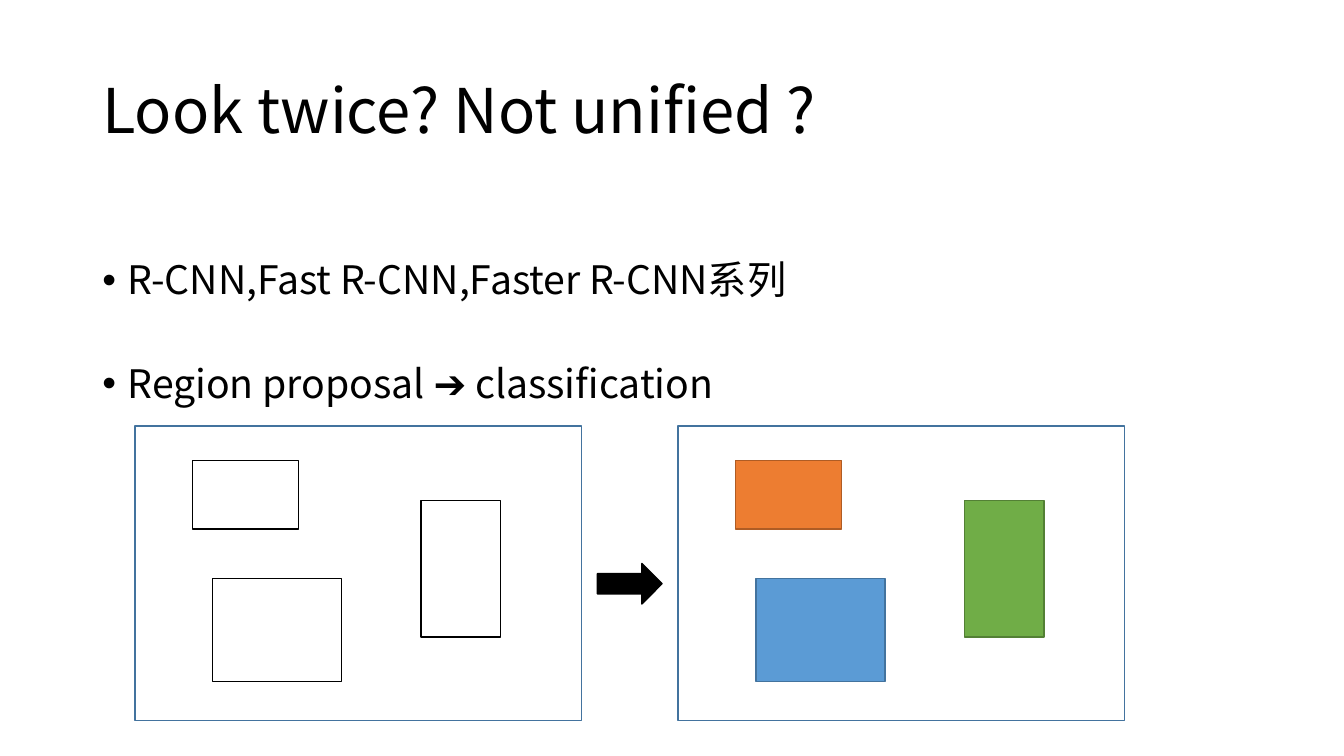
from dataclasses import dataclass

from lxml import etree
from pptx import Presentation
from pptx import util as u
from pptx.dml.color import RGBColor
from pptx.enum import shapes, text
from pptx.oxml.ns import qn


@dataclass(frozen=True)
class Theme:
    font: str = "Noto Sans CJK SC"
    ink: str = "000000"
    frame: str = "43739E"
    orange: tuple = ("ED7D31", "AF5C24")
    green: tuple = ("70AD47", "538035")
    blue: tuple = ("5B9BD5", "43739E")
    title: int = 44
    body: int = 28
    line: int = 1


THEME = Theme()
PANEL = (11.25, 7.42)
# Regions inside a panel: left, top, width, height in cm
REGIONS = [
    (1.45, 0.86, 2.67, 1.73),
    (7.21, 1.88, 2.01, 3.43),
    (1.96, 3.84, 3.25, 2.59),
]
BULLETS = ["R-CNN,Fast R-CNN,Faster R-CNN系列", "Region proposal ➔ classification"]


def assign(item, values):
    for name, value in values.items():
        setattr(item, name, value)


def shape(slide, kind, box, fill, line):
    part = slide.shapes.add_shape(kind, *map(u.Cm, box))
    part.shadow.inherit = False
    if fill:
        part.fill.solid()
        part.fill.fore_color.rgb = RGBColor.from_string(fill)
    else:
        part.fill.background()
    part.line.color.rgb = RGBColor.from_string(line)
    part.line.width = u.Pt(THEME.line)


def frame(slide, box, **values):
    area = slide.shapes.add_textbox(*map(u.Cm, box)).text_frame
    assign(area, {"word_wrap": True, **values})
    return area


def write(para, words, size):
    para.line_spacing = 0.9
    run = para.add_run()
    run.text = words
    assign(run.font, {"name": THEME.font, "size": u.Pt(size)})
    run.font.color.rgb = RGBColor.from_string(THEME.ink)
    east = etree.SubElement(run.font._element, qn("a:ea"))
    east.set("typeface", THEME.font)


def title(slide, box):
    area = frame(slide, box, vertical_anchor=text.MSO_ANCHOR.MIDDLE)
    write(area.paragraphs[0], "Look twice? Not unified ?", THEME.title)


def bullets(slide, box):
    area = frame(slide, box, margin_top=u.Cm(1.5))
    for i, words in enumerate(BULLETS):
        para = area.add_paragraph() if i else area.paragraphs[0]
        write(para, words, THEME.body)
        para.space_before = u.Pt(43.5 if i else 0)
        props = para._p.get_or_add_pPr()
        indent = u.Cm(0.64)
        props.set("marL", str(indent))
        props.set("indent", str(-indent))
        etree.SubElement(props, qn("a:buFont")).set("typeface", "Arial")
        etree.SubElement(props, qn("a:buChar")).set("char", "•")


def panel(slide, box, paints):
    """Draw a framed image with its regions, each painted (fill, line)."""
    rect = shapes.MSO_SHAPE.RECTANGLE
    left, top = box[:2]
    shape(slide, rect, box, None, THEME.frame)
    for (x, y, wide, high), paint in zip(REGIONS, paints):
        shape(slide, rect, (left + x, top + y, wide, high), *paint)


def stages(slide, left, top, gap):
    """Draw proposals, an arrow in the gap, and classified regions."""
    wide, high = PANEL
    bare = [(None, THEME.ink)] * len(REGIONS)
    panel(slide, (left, top, wide, high), bare)
    panel(slide, (left + wide + gap, top, wide, high),
          [THEME.orange, THEME.green, THEME.blue])
    span, thick = 1.63, 1.02
    spot = (left + wide + (gap - span) / 2, top + 3.46, span, thick)
    shape(slide, shapes.MSO_SHAPE.RIGHT_ARROW, spot, THEME.ink, THEME.ink)


def main():
    deck = Presentation()
    assign(deck, {"slide_width": u.Cm(33.87), "slide_height": u.Cm(19.05)})
    slide = deck.slides.add_slide(deck.slide_layouts[6])
    bullets(slide, (2.33, 5.08, 29.21, 12.09))
    title(slide, (2.33, 1.02, 29.21, 3.68))
    stages(slide, 3.4, 10.74, 2.44)
    deck.save("out.pptx")


if __name__ == "__main__":
    main()
